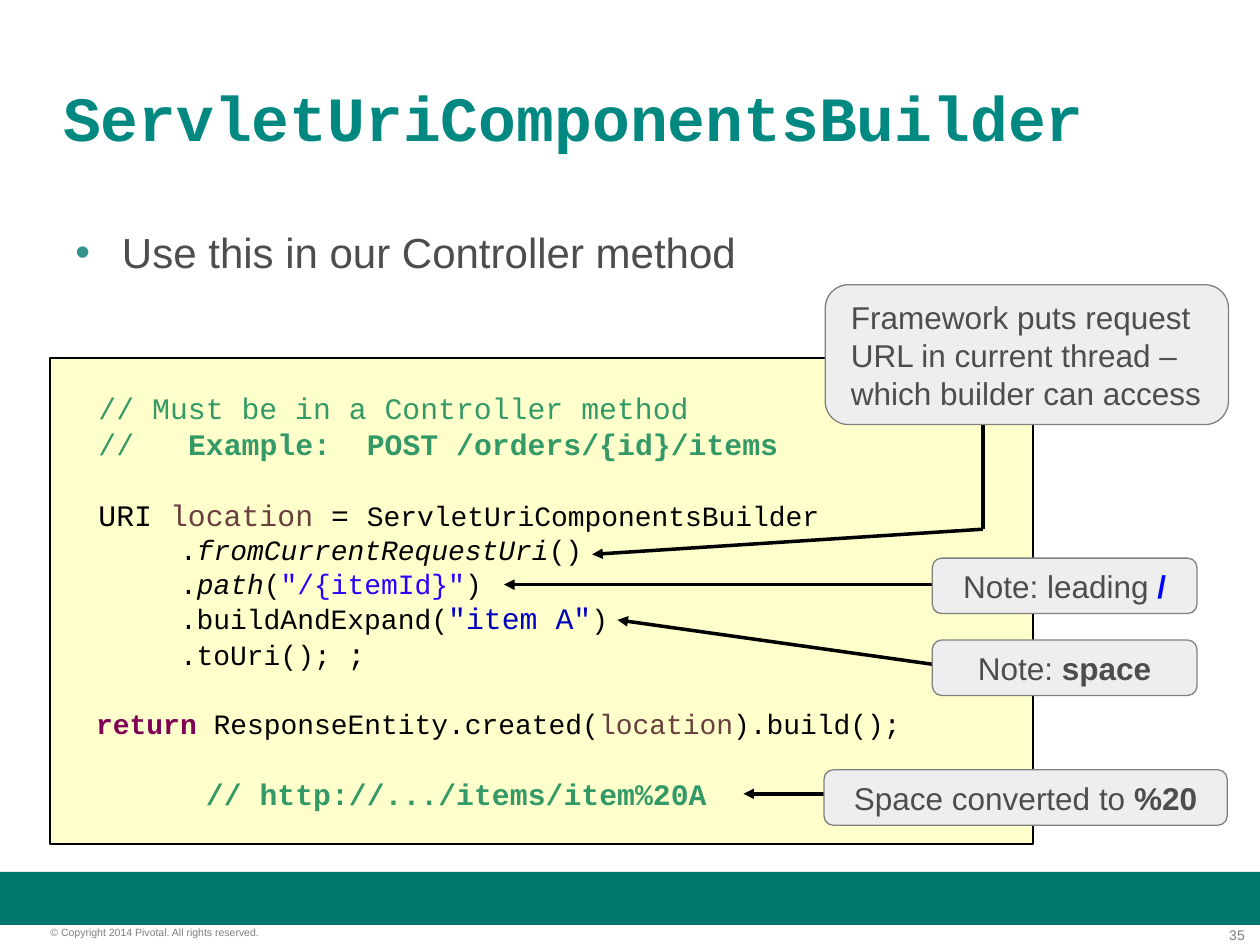
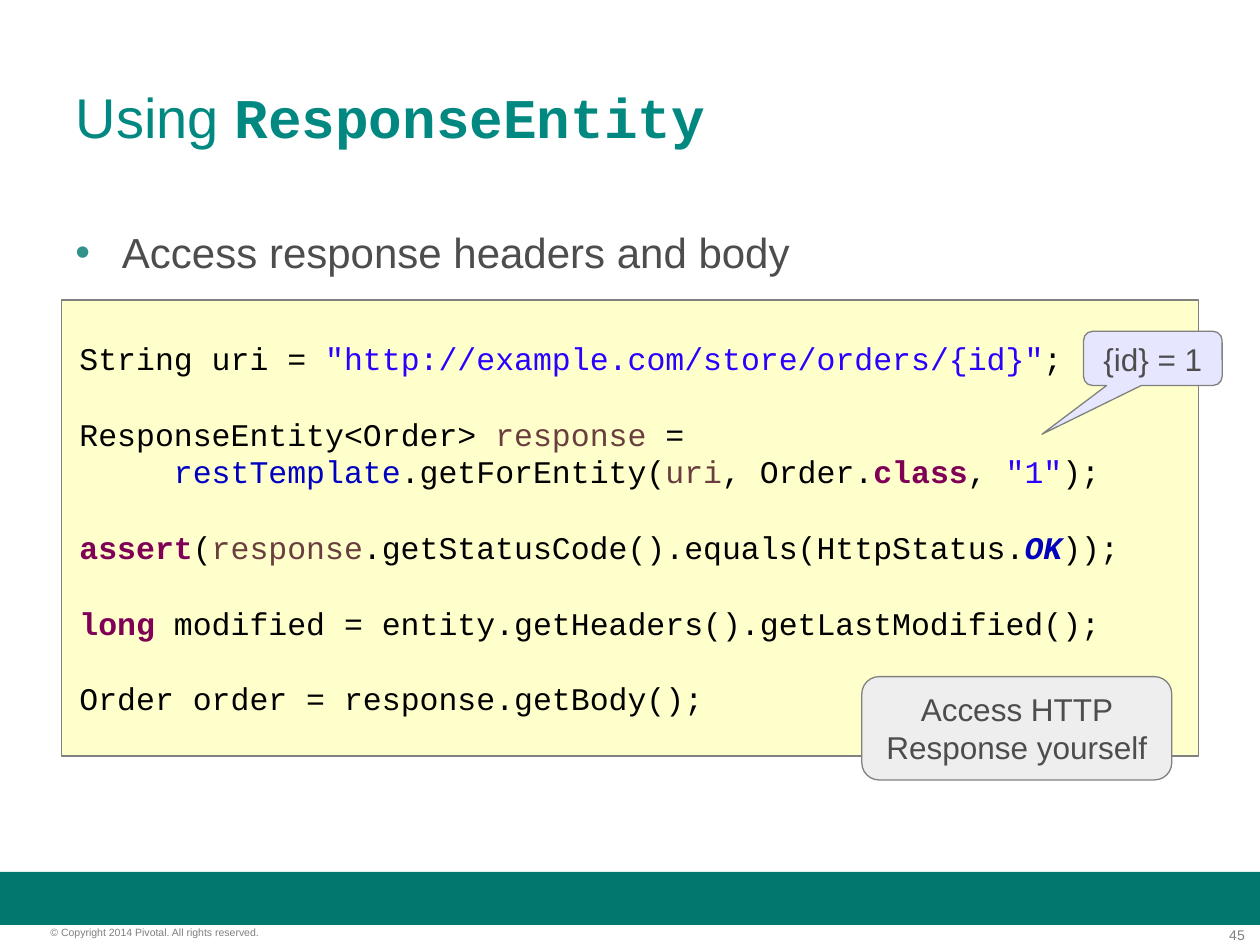
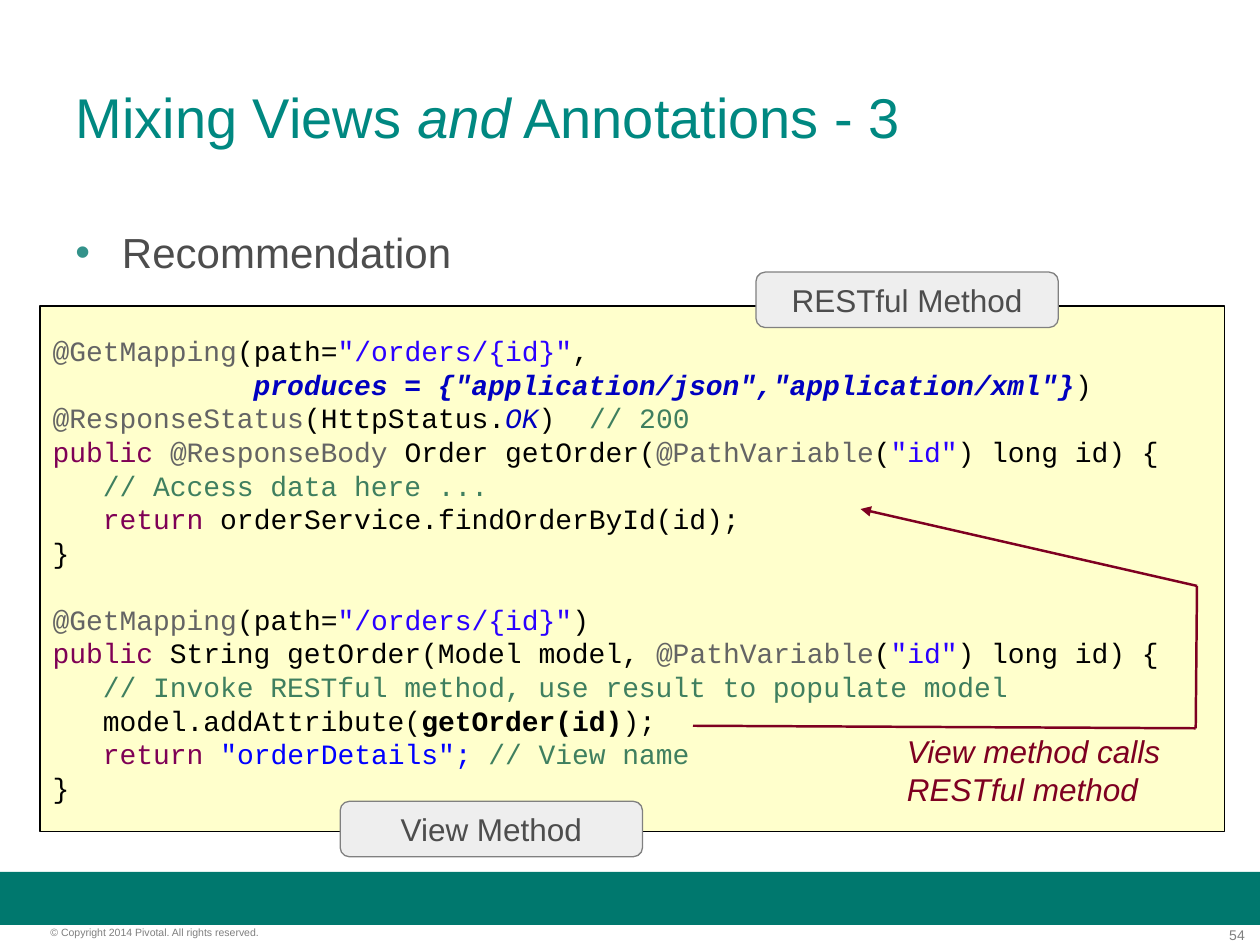
from lxml import etree
from pptx import Presentation
from pptx.dml.color import RGBColor
from pptx.enum.shapes import MSO_CONNECTOR as Link, MSO_SHAPE as Kind
from pptx.enum.text import MSO_ANCHOR as Anchor, MSO_AUTO_SIZE as Fit, PP_ALIGN as Align
from pptx.oxml.ns import qn
from pptx.util import Inches, Pt

# Shared look
SANS, MONO = "Arial", "Courier New"
BAND, TEAL, BULLET = "00786E", "008881", "33928A"
TEXT, FAINT, EDGE = "4D4D4D", "7F7F7F", "808080"
PAPER, NOTE, TIP = "FFFFCC", "EEEEEE", "E6E6FF"
BLACK, WINE = "000000", "7E0021"
LEAD = 1.2

# Run styles
BOLD, SLANT = {"bold": True}, {"italic": True}
HEAD = {"bold": True, "font": MONO}
WORD = {"color": "7F0055"}
KEY = WORD | BOLD
VAR = {"color": "6A3E3E"}
STR = {"color": "2A00FF"}
LINK = {"color": "0000FF"}
FIELD = {"color": "0000C0"}
MARK = {"color": "646464"}
REM = {"color": "339966"}
DIM = {"color": "3F7F5F"}
SMALL = {"size": 16}


def rgb(code):
    return RGBColor.from_string(code)


def put(frame, lines, size, color=TEXT, font=SANS, align=Align.LEFT,
        anchor=Anchor.MIDDLE, pad=(0.1, 0.05, 0.1, 0.05), wrap=True):
    """Fill a frame; a run is text or (text, style), None leaves a line's gap."""
    frame.auto_size = Fit.NONE
    frame.word_wrap = wrap
    frame.vertical_anchor = anchor
    (frame.margin_left, frame.margin_top,
     frame.margin_right, frame.margin_bottom) = map(Inches, pad)
    para, gap = None, False
    for line in lines:
        if line is None:
            gap = True
            continue
        para = frame.add_paragraph() if para else frame.paragraphs[0]
        para.alignment = align
        if gap:
            para.space_before = Pt(size * LEAD)
        gap, tall = False, 0
        for part in line:
            text, style = (part, {}) if isinstance(part, str) else part
            run = para.add_run()
            run.text = text
            face, high = run.font, style.get("size", size)
            face.name = style.get("font", font)
            face.size = Pt(high)
            face.color.rgb = rgb(style.get("color", color))
            face.bold = style.get("bold", False)
            face.italic = style.get("italic", False)
            tall = max(tall, high)
        para.line_spacing = Pt(tall * LEAD)


def block(slide, box, fill, edge=None, width=0, kind=Kind.RECTANGLE):
    shape = slide.shapes.add_shape(kind, *map(Inches, box))
    shape.shadow.inherit = False
    shape.fill.solid()
    shape.fill.fore_color.rgb = rgb(fill)
    if edge:
        shape.line.color.rgb = rgb(edge)
        shape.line.width = Pt(width)
    else:
        shape.line.fill.background()
    return shape


def label(slide, box, lines, size, **look):
    frame = slide.shapes.add_textbox(*map(Inches, box)).text_frame
    put(frame, lines, size, **look)
    return frame


def code(slide, box, lines, size, edge=BLACK, width=1, left=0.1):
    shape = block(slide, box, PAPER, edge, width)
    put(shape.text_frame, lines, size, BLACK, MONO, pad=(left, 0.05, 0.1, 0.05))


def note(slide, box, line, align=Align.CENTER, left=0.1):
    shape = block(slide, box, NOTE, EDGE, kind=Kind.ROUNDED_RECTANGLE)
    put(shape.text_frame, [line], 18, align=align, pad=(left, 0.05, 0.1, 0.05))


def route(slide, points, color=BLACK, width=0):
    """Join the points with straight lines; the last one ends in an arrow."""
    for start, end in zip(points, points[1:]):
        line = slide.shapes.add_connector(
            Link.STRAIGHT, *map(Inches, (*start, *end)))
        line.line.color.rgb = rgb(color)
        line.line.width = Pt(width)
        props = line.line._get_or_add_ln()
        if end == points[-1]:
            etree.SubElement(props, qn("a:tailEnd"), type="triangle")
        etree.SubElement(props.getparent(), qn("a:effectLst"))


def page(deck, number, title, point, size=32, pad=0.1):
    slide = deck.slides.add_slide(deck.slide_layouts[5])
    # Footer
    block(slide, (0, 6.92, 10, 0.42), BAND)
    flat = {"color": FAINT, "pad": (0, 0, 0, 0), "anchor": Anchor.TOP}
    label(slide, (9.3, 7.35, 0.58, 0.13), [[str(number)]], 8,
          align=Align.RIGHT, **flat)
    label(slide, (0.4, 7.35, 2.49, 0.1),
          [["© Copyright 2014 Pivotal. All rights reserved."]], 6, **flat)
    # Title
    head = slide.shapes.title
    head.left, head.top, head.width, head.height = map(
        Inches, (0.5, 0.3, 9, 1.25))
    put(head.text_frame, [title], size, TEAL, pad=(pad, 0.05, pad, 0.05))
    # Bullet point
    frame = label(slide, (0.5, 1.75, 9, 0.5), [[point]], 24, anchor=Anchor.TOP)
    props = frame.paragraphs[0]._p.get_or_add_pPr()
    props.set("marL", str(Inches(0.37)))
    props.set("indent", str(-Inches(0.37)))
    tint = etree.SubElement(props, qn("a:buClr"))
    etree.SubElement(tint, qn("a:srgbClr"), val=BULLET)
    etree.SubElement(props, qn("a:buFont"), typeface=SANS)
    etree.SubElement(props, qn("a:buChar"), char="•")
    return slide


def builder(deck):
    slide = page(deck, 35, [("ServletUriComponentsBuilder", HEAD)],
                 "Use this in our Controller method", size=36, pad=0)
    code(slide, (0.4, 2.84, 7.8, 3.86), [
        [("  // Must be in a Controller method", REM)],
        [("  //   ", REM),
         ("Example:  POST /orders/{id}/items", REM | BOLD)],
        None,
        ["  URI ", ("location", VAR), " = ",
         ("ServletUriComponentsBuilder", SMALL)],
        [("       .", SMALL), ("fromCurrentRequestUri", SMALL | SLANT),
         ("()", SMALL)],
        [("       .", SMALL), ("path", SMALL | SLANT), ("(", SMALL),
         ('"/{itemId}"', SMALL | STR), (")", SMALL)],
        [("       .buildAndExpand(", SMALL), ('"item A"', FIELD),
         (")", SMALL)],
        [("       .toUri(); ", SMALL), ";"],
        None,
        [("  return", SMALL | KEY), (" ResponseEntity.created(", SMALL),
         ("location", SMALL | VAR), (").build();", SMALL)],
        None,
        ["        ", ("// http://.../items/item%20A", REM | BOLD)],
    ], 17)
    # Arrows into the code
    for points in ([(7.8, 3.3), (7.8, 4.2), (4.7, 4.4)],
                   [(7.48, 4.64), (4, 4.64)],
                   [(7.6, 5.3), (4.9, 4.92)],
                   [(6.54, 6.3), (5.9, 6.3)]):
        route(slide, points)
    # Notes
    note(slide, (6.55, 2.26, 3.2, 1.11),
         ["Framework puts request URL in current thread – "
          "which builder can access"], Align.LEFT, 0.15)
    note(slide, (7.4, 4.43, 2.1, 0.44),
         ["Note: leading ", ("/", LINK | BOLD)])
    note(slide, (7.4, 5.08, 2.1, 0.44), ["Note: ", ("space", BOLD)])
    note(slide, (6.54, 6.11, 3.2, 0.44),
         ["Space converted to ", ("%20", BOLD)])


def entity(deck):
    slide = page(deck, 45, ["Using ", ("ResponseEntity", HEAD)],
                 "Access response headers and body")
    code(slide, (0.49, 2.38, 9.02, 3.62), [
        ["String uri = ", ('"http://example.com/store/orders/{id}"', STR),
         ";"],
        None,
        ["ResponseEntity<Order> ", ("response", VAR), " ="],
        ["     ", ("restTemplate", FIELD), ".getForEntity(", ("uri", VAR),
         ", Order.", ("class", KEY), ", ", ('"1"', STR), ");"],
        None,
        [("assert", KEY), "(", ("response", VAR),
         ".getStatusCode().equals(HttpStatus.", ("OK", FIELD | BOLD | SLANT),
         "));"],
        None,
        [("long", KEY), " modified = entity.getHeaders().getLastModified();"],
        None,
        ["Order order = response.getBody();"],
    ], 18, EDGE, 0, 0.14)
    note(slide, (6.84, 5.37, 2.46, 0.82), ["Access HTTP Response yourself"])
    # Speech bubble
    tip = block(slide, (8.6, 2.63, 1.1, 0.43), TIP, EDGE,
                kind=Kind.ROUNDED_RECTANGULAR_CALLOUT)
    tip.adjustments[0], tip.adjustments[1] = -0.8, 1.4
    put(tip.text_frame, [["{id} = 1"]], 18, align=Align.CENTER, wrap=False)


def mixing(deck):
    slide = page(deck, 54,
                 ["Mixing Views ", ("and", SLANT), " Annotations - 3"],
                 "Recommendation")
    mapping = [("@GetMapping", MARK), "(path=", ('"/orders/{id}"', STR)]
    ident = [("@PathVariable", MARK), "(", ('"id"', STR), ") long id) {"]
    code(slide, (0.32, 2.43, 9.4, 4.17), [
        mapping + [","],
        [('            produces = {"application/json","application/xml"}',
          FIELD | BOLD | SLANT), ")"],
        [("@ResponseStatus", MARK), "(HttpStatus.", ("OK", FIELD | SLANT),
         ")  ", ("// 200", DIM)],
        [("public ", WORD), ("@ResponseBody", MARK), " Order getOrder("]
        + ident,
        [("   // Access data here ...", DIM)],
        ["   ", ("return", WORD), " orderService.findOrderById(id);"],
        ["}"],
        None,
        mapping + [")"],
        [("public", WORD), " String getOrder(Model model, "] + ident,
        ["   ",
         ("// Invoke RESTful method, use result to populate model", DIM)],
        ["   model.addAttribute(", ("getOrder(id)", BOLD), ");"],
        ["   ", ("return ", WORD), ('"orderDetails"; ', LINK),
         ("// View name", DIM)],
        ["}"],
    ], 16)
    # Call from the view method to the RESTful one
    route(slide, [(5.5, 5.76), (9.49, 5.78), (9.5, 4.65), (6.83, 4.04)],
          WINE, 1.42)
    label(slide, (7.1, 5.76, 2.36, 0.7),
          [[("View method calls", SLANT)], [("RESTful method", SLANT)]],
          18, color=WINE, wrap=False)
    note(slide, (6, 2.16, 2.4, 0.44), ["RESTful Method"])
    note(slide, (2.7, 6.36, 2.4, 0.44), ["View Method"])


def main():
    deck = Presentation()
    deck.slide_width, deck.slide_height = Inches(10), Inches(7.5)
    for build in (builder, entity, mixing):
        build(deck)
    deck.save("out.pptx")


if __name__ == "__main__":
    main()
